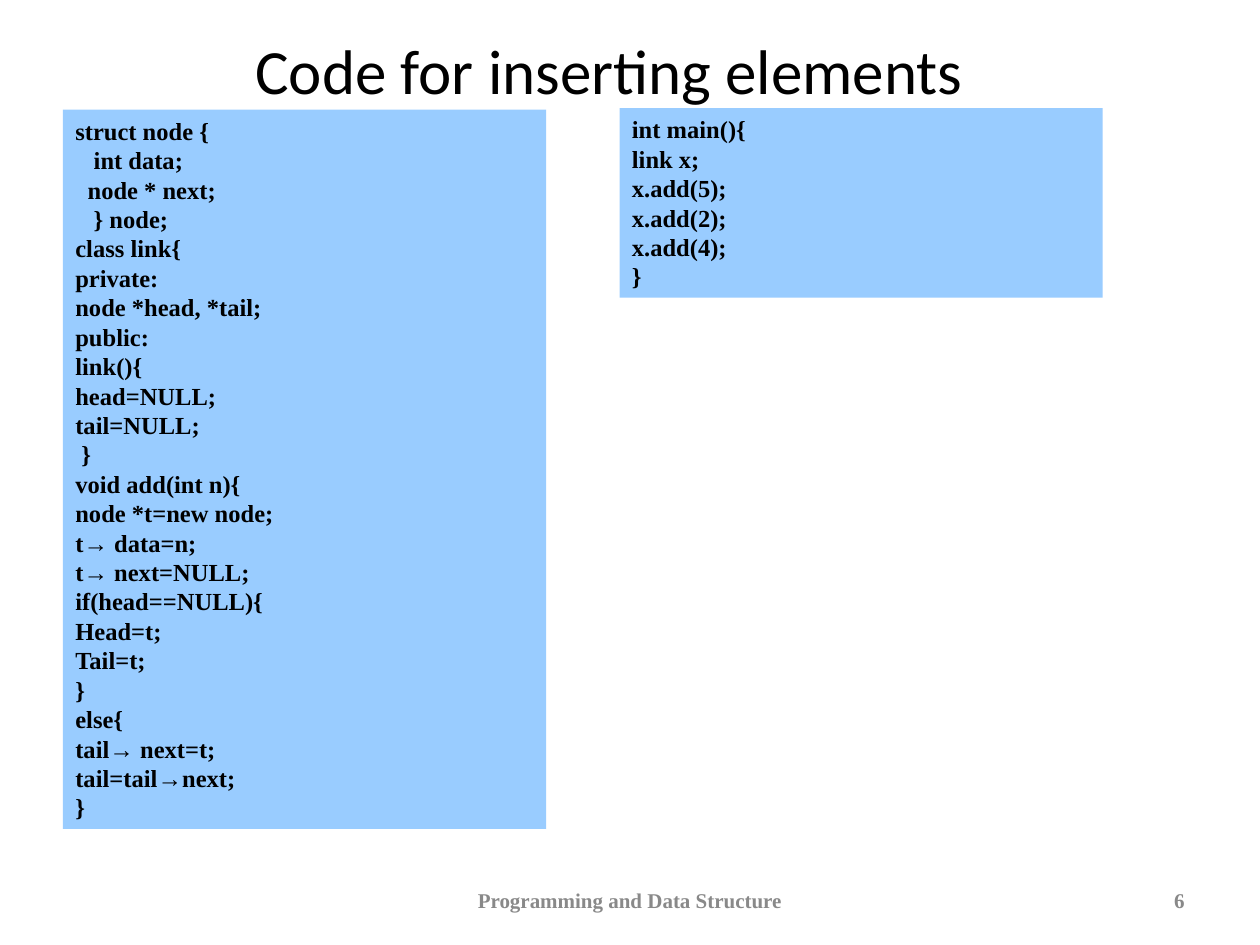
from pptx import Presentation
from pptx import util as u
from pptx.dml import color
from pptx.enum import shapes, text

ARROW = "→"

NODE_AND_CLASS = """struct node {
   int data;
  node * next;
   } node;
class link{
private:
node *head, *tail;
public:
link(){
head=NULL;
tail=NULL;
 }
void add(int n){
node *t=new node;
t→ data=n;
t→ next=NULL;
if(head==NULL){
Head=t;
Tail=t;
}
else{
tail→ next=t;
tail=tail→next;
}"""

MAIN_FUNCTION = """int main(){
link x;
x.add(5);
x.add(2);
x.add(4);
}"""


def rgb(value):
    return color.RGBColor.from_string(value)


class SlideBuilder:
    title_font = "Calibri"
    body_font = "Times New Roman"
    arrow_font = "Arial"
    ink = "000000"
    muted = "898989"
    panel = "99CCFF"

    def __init__(self, slide):
        self.slide = slide

    def style(self, paragraph, name, size, ink, bold, alignment):
        paragraph.alignment = alignment
        font = paragraph.font
        font.name, font.size, font.bold = name, u.Pt(size), bold
        font.color.rgb = rgb(ink)

    def title(self, wording, left, top, width, height):
        shape = self.slide.shapes.title
        shape.left, shape.top = u.Cm(left), u.Cm(top)
        shape.width, shape.height = u.Cm(width), u.Cm(height)
        frame = shape.text_frame
        frame.text = wording
        frame.vertical_anchor = text.MSO_ANCHOR.MIDDLE
        self.style(frame.paragraphs[0], self.title_font, 36, self.ink, False,
                   text.PP_ALIGN.CENTER)

    def footer(self, wording, left, width, alignment):
        box = self.slide.shapes.add_textbox(
            u.Cm(left), u.Cm(17.65), u.Cm(width), u.Cm(1.01))
        frame = box.text_frame
        frame.word_wrap = True
        frame.vertical_anchor = text.MSO_ANCHOR.MIDDLE
        frame.text = wording
        self.style(frame.paragraphs[0], self.body_font, 12, self.muted, True, alignment)

    def code(self, listing, left, top, width, height):
        """Add a filled panel with one paragraph for each line of code."""
        shape = self.slide.shapes.add_shape(
            shapes.MSO_SHAPE.RECTANGLE, u.Cm(left), u.Cm(top), u.Cm(width), u.Cm(height))
        shape.shadow.inherit = False
        shape.fill.solid()
        shape.fill.fore_color.rgb = rgb(self.panel)
        shape.line.fill.background()
        frame = shape.text_frame
        frame.word_wrap = True
        frame.vertical_anchor = text.MSO_ANCHOR.TOP
        frame.text = listing
        for paragraph, line in zip(frame.paragraphs, listing.split("\n")):
            before, arrow, after = line.partition(ARROW)
            if arrow:
                paragraph.text = before
                arrow_run = paragraph.add_run()
                arrow_run.text = arrow
                arrow_run.font.name = self.arrow_font
                paragraph.add_run().text = after
            self.style(paragraph, self.body_font, 14, self.ink, True, text.PP_ALIGN.LEFT)


def main():
    presentation = Presentation()
    presentation.slide_width, presentation.slide_height = u.Cm(25.4), u.Cm(19.05)
    title_only = presentation.slide_layouts.get_by_name("Title Only")
    builder = SlideBuilder(presentation.slides.add_slide(title_only))

    builder.title("Code for inserting elements", 0.85, -0.2, 22.86, 3.18)
    builder.footer("Programming and Data Structure", 8.68, 8.04, text.PP_ALIGN.CENTER)
    builder.footer("6", 18.2, 5.93, text.PP_ALIGN.RIGHT)
    builder.code(NODE_AND_CLASS, 1.27, 2.21, 9.74, 14.5)
    builder.code(MAIN_FUNCTION, 12.49, 2.18, 9.74, 3.82)

    presentation.save("out.pptx")


if __name__ == "__main__":
    main()
